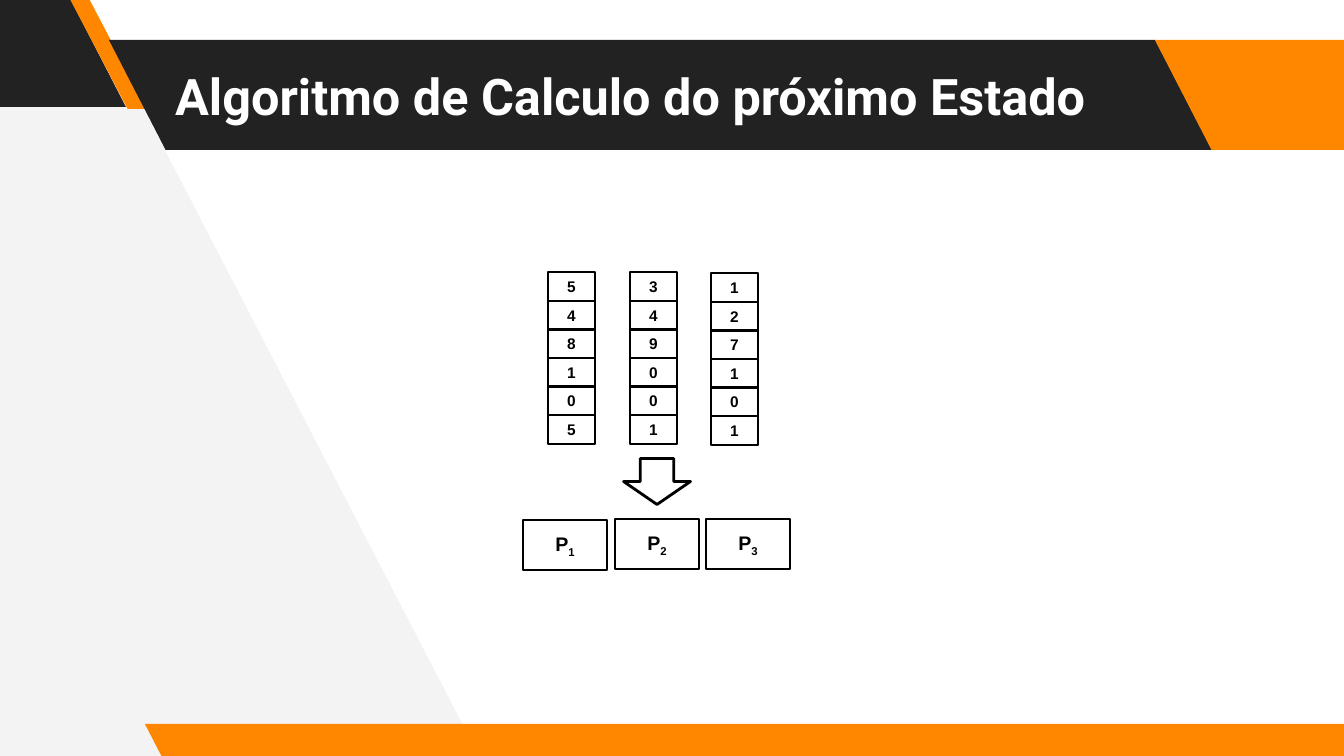
from pptx import Presentation
from pptx.dml.color import RGBColor
from pptx.enum.shapes import MSO_SHAPE
from pptx.enum.text import MSO_ANCHOR, PP_ALIGN
from pptx.util import Pt

PARALLELOGRAM = MSO_SHAPE.PARALLELOGRAM
RECTANGLE = MSO_SHAPE.RECTANGLE
RIGHT_ARROW = MSO_SHAPE.RIGHT_ARROW
MIDDLE = MSO_ANCHOR.MIDDLE
LEFT, CENTER = PP_ALIGN.LEFT, PP_ALIGN.CENTER

SCALE = 914400 / 100.8
COLORS = {
    "white": "FFFFFF",
    "black": "000000",
    "dark": "222222",
    "orange": "FF8700",
    "gray": "F3F3F3",
}


def add_box(kind, bounds, fill=None, line_width=None):
    box = page.shapes.add_shape(kind, *[round(value * SCALE) for value in bounds])
    box.shadow.inherit = False
    if fill:
        box.fill.solid()
        box.fill.fore_color.rgb = RGBColor.from_string(COLORS[fill])
    else:
        box.fill.background()
    if line_width:
        box.line.color.rgb = RGBColor.from_string(COLORS["black"])
        box.line.width = Pt(line_width)
    else:
        box.line.fill.background()
    return box


def write(box, words, size, font, color, align, margin):
    frame = box.text_frame
    frame.word_wrap = True
    frame.vertical_anchor = MIDDLE
    frame.margin_left = frame.margin_right = round(margin * SCALE)
    frame.margin_top = frame.margin_bottom = round(margin * SCALE)
    para = frame.paragraphs[0]
    para.alignment = align
    for word in words:
        span = para.add_run()
        span.text = word
        span.font.size = Pt(size)
        span.font.name = font
        span.font.bold = True
        span.font.color.rgb = RGBColor.from_string(COLORS[color])
    return para


deck = Presentation()
deck.slide_width = round(1344 * SCALE)
deck.slide_height = round(756 * SCALE)
page = deck.slides.add_slide(deck.slide_layouts[5])
title = page.shapes.title

builder = page.shapes.build_freeform(479, 756, scale=SCALE)
builder.add_line_segments([(84, -6), (-8, -5), (-3, 761)], close=True)
side_panel = builder.convert_to_shape()
side_panel.shadow.inherit = False
side_panel.fill.solid()
side_panel.fill.fore_color.rgb = RGBColor.from_string(COLORS["gray"])
side_panel.line.fill.background()

bands = [
    ((-133, -3, 259, 110), 0.515, "dark"),
    ((70, -1, 77, 110), 0.75, "orange"),
    ((109, 40, 1103, 110), 0.515, "dark"),
    ((1155, 40, 259, 110), 0.515, "orange"),
    ((145, 724, 1230, 33), 0.515, "orange"),
]
for bounds, slant, color in bands:
    band = add_box(PARALLELOGRAM, bounds, color)
    band.adjustments[0] = slant
    band._element.spPr.xfrm.set("flipH", "1")

title.left, title.top, title.width, title.height = [
    round(value * SCALE) for value in (162, 40, 989, 110)
]
write(title, ["Algoritmo de Calculo do próximo Estado"], 36, "Roboto", "white", LEFT, 13)
page.shapes._spTree.append(title._element)

ROW_PITCH = 28.6
columns = [
    (548, 272, "548105"[:0] + "548105"),
    (630, 272, "349001"),
    (711, 273, "127101"),
]
for left, top, digits in columns:
    for row, digit in enumerate(digits):
        cell = add_box(RECTANGLE, (left, round(top + row * ROW_PITCH), 47, 29), line_width=1.5)
        write(cell, [digit], 11, "Arial", "black", CENTER, 0)

arrow = add_box(RIGHT_ARROW, (634, 448, 46, 67), "white", 2)
arrow.rotation = 90

for number, (left, top) in enumerate([(523, 520), (615, 519), (706, 519)], 1):
    process = add_box(RECTANGLE, (left, top, 84, 50), line_width=1.5)
    para = write(process, ["P", str(number)], 14, "Arial", "black", CENTER, 0)
    para.runs[1].font._element.set("baseline", "-25000")

deck.save("out.pptx")
